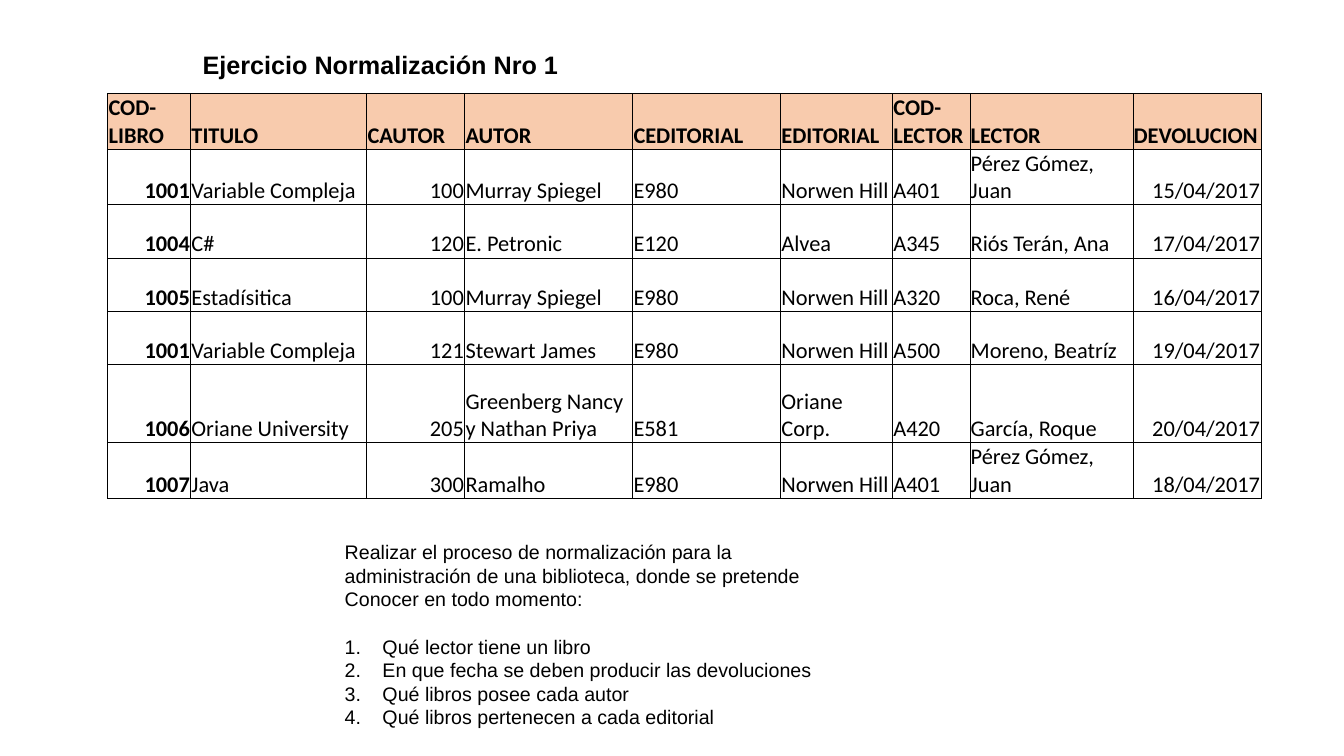
from dataclasses import dataclass

import pptx
import pptx.dml.color
import pptx.enum.text
import pptx.oxml
import pptx.oxml.ns
import pptx.util

Pt = pptx.util.Pt
ALIGN = pptx.enum.text.PP_ALIGN
ANCHOR = pptx.enum.text.MSO_ANCHOR
AUTO_SIZE = pptx.enum.text.MSO_AUTO_SIZE


@dataclass(frozen=True)
class Theme:
    ink: str = "000000"
    header_fill: str = "F8CBAD"
    text_font: str = "Arial"
    table_font: str = "Calibri"
    title_size: float = 18
    table_size: float = 16
    body_size: float = 14
    border_width: float = 0.5


THEME = Theme()

HEADINGS = ["COD-LIBRO", "TITULO", "CAUTOR", "AUTOR", "CEDITORIAL",
            "EDITORIAL", "COD-LECTOR", "LECTOR", "DEVOLUCION"]
LOANS = [
    ["1001", "Variable Compleja", "100", "Murray Spiegel", "E980",
     "Norwen Hill", "A401", "Pérez Gómez, Juan", "15/04/2017"],
    ["1004", "C#", "120", "E. Petronic", "E120",
     "Alvea", "A345", "Riós Terán, Ana", "17/04/2017"],
    ["1005", "Estadísitica", "100", "Murray Spiegel", "E980",
     "Norwen Hill", "A320", "Roca, René", "16/04/2017"],
    ["1001", "Variable Compleja", "121", "Stewart James", "E980",
     "Norwen Hill", "A500", "Moreno, Beatríz", "19/04/2017"],
    ["1006", "Oriane University", "205", "Greenberg Nancy y Nathan Priya", "E581",
     "Oriane Corp.", "A420", "García, Roque", "20/04/2017"],
    ["1007", "Java", "300", "Ramalho", "E980",
     "Norwen Hill", "A401", "Pérez Gómez, Juan", "18/04/2017"],
]
COLUMN_WIDTHS = [59.2, 125.8, 70, 120, 105.7, 80, 55.2, 116.4, 91.5]
ROW_HEIGHTS = [38, 38, 38, 38, 38, 56, 38]
RIGHT_ALIGNED = {"COD-LIBRO", "CAUTOR", "DEVOLUCION"}

INTRODUCTION = [
    "Realizar el proceso de normalización para la",
    "administración de una biblioteca, donde se pretende",
    "Conocer en todo momento:",
]
QUESTIONS = [
    "Qué lector tiene un libro",
    "En que fecha se deben producir las devoluciones",
    "Qué libros posee cada autor",
    "Qué libros pertenecen a cada editorial",
]


def style_font(paragraph, name, size, bold=False):
    font = paragraph.font
    font.name = name
    font.size = Pt(size)
    font.bold = bold
    font.color.rgb = pptx.dml.color.RGBColor.from_string(THEME.ink)


def place(placeholder, left, top, width, height):
    placeholder.left, placeholder.top = Pt(left), Pt(top)
    placeholder.width, placeholder.height = Pt(width), Pt(height)
    frame = placeholder.text_frame
    frame.vertical_anchor = ANCHOR.TOP
    frame.auto_size = AUTO_SIZE.NONE
    return frame


def set_numbering(paragraph, numbered):
    """Number the paragraph with a hanging indent, or clear its bullet."""
    properties = paragraph._p.get_or_add_pPr()
    hang = Pt(27) if numbered else 0
    properties.set("marL", str(hang))
    properties.set("indent", str(-hang))
    tag = '<a:buAutoNum {} type="arabicPeriod"/>' if numbered else "<a:buNone {}/>"
    properties.append(pptx.oxml.parse_xml(tag.format(pptx.oxml.ns.nsdecls("a"))))


def add_title(slide):
    frame = place(slide.shapes.title, 137.5, 31.7, 270.7, 29)
    frame.word_wrap = False
    frame.text = "Ejercicio Normalización Nro 1"
    heading = frame.paragraphs[0]
    heading.alignment = ALIGN.LEFT
    style_font(heading, THEME.text_font, THEME.title_size, bold=True)


def add_assignment(slide):
    frame = place(slide.placeholders[1], 239, 382.3, 435.6, 150)
    frame.word_wrap = True
    frame.text = "\n".join(INTRODUCTION + QUESTIONS)
    for index, paragraph in enumerate(frame.paragraphs):
        set_numbering(paragraph, index >= len(INTRODUCTION))
        first_question = index == len(INTRODUCTION)
        paragraph.space_before = Pt(16.8 if first_question else 0)
        style_font(paragraph, THEME.text_font, THEME.body_size)


def add_borders(cell):
    properties = cell._tc.get_or_add_tcPr()
    for side in ("lnL", "lnR", "lnT", "lnB"):
        properties.append(pptx.oxml.parse_xml(
            f'<a:{side} {pptx.oxml.ns.nsdecls("a")} w="{Pt(THEME.border_width)}">'
            f'<a:solidFill><a:srgbClr val="{THEME.ink}"/></a:solidFill></a:{side}>'))


def fill_cell(cell, text, is_header, bold, alignment):
    cell.margin_left = cell.margin_right = cell.margin_top = Pt(0.6)
    cell.margin_bottom = 0
    cell.vertical_anchor = ANCHOR.BOTTOM
    add_borders(cell)
    if is_header:
        cell.fill.solid()
        cell.fill.fore_color.rgb = pptx.dml.color.RGBColor.from_string(THEME.header_fill)
    else:
        cell.fill.background()
    cell.text = text
    paragraph = cell.text_frame.paragraphs[0]
    paragraph.alignment = alignment
    style_font(paragraph, THEME.table_font, THEME.table_size, bold)


def add_loans_table(slide):
    rows = [HEADINGS] + LOANS
    loans = slide.shapes.add_table(
        len(rows), len(HEADINGS), Pt(77), Pt(66.8),
        Pt(sum(COLUMN_WIDTHS)), Pt(sum(ROW_HEIGHTS))).table
    loans.first_row = loans.horz_banding = False
    for column, width in zip(loans.columns, COLUMN_WIDTHS):
        column.width = Pt(width)
    for row, height in zip(loans.rows, ROW_HEIGHTS):
        row.height = Pt(height)
    for r, values in enumerate(rows):
        for c, value in enumerate(values):
            is_header = r == 0
            to_right = not is_header and HEADINGS[c] in RIGHT_ALIGNED
            fill_cell(loans.cell(r, c), value, is_header,
                      bold=is_header or c == 0,
                      alignment=ALIGN.RIGHT if to_right else ALIGN.LEFT)


def main():
    deck = pptx.Presentation()
    deck.slide_width, deck.slide_height = Pt(960), Pt(540)
    slide = deck.slides.add_slide(deck.slide_layouts[1])
    add_loans_table(slide)
    add_title(slide)
    add_assignment(slide)
    deck.save("out.pptx")


if __name__ == "__main__":
    main()
